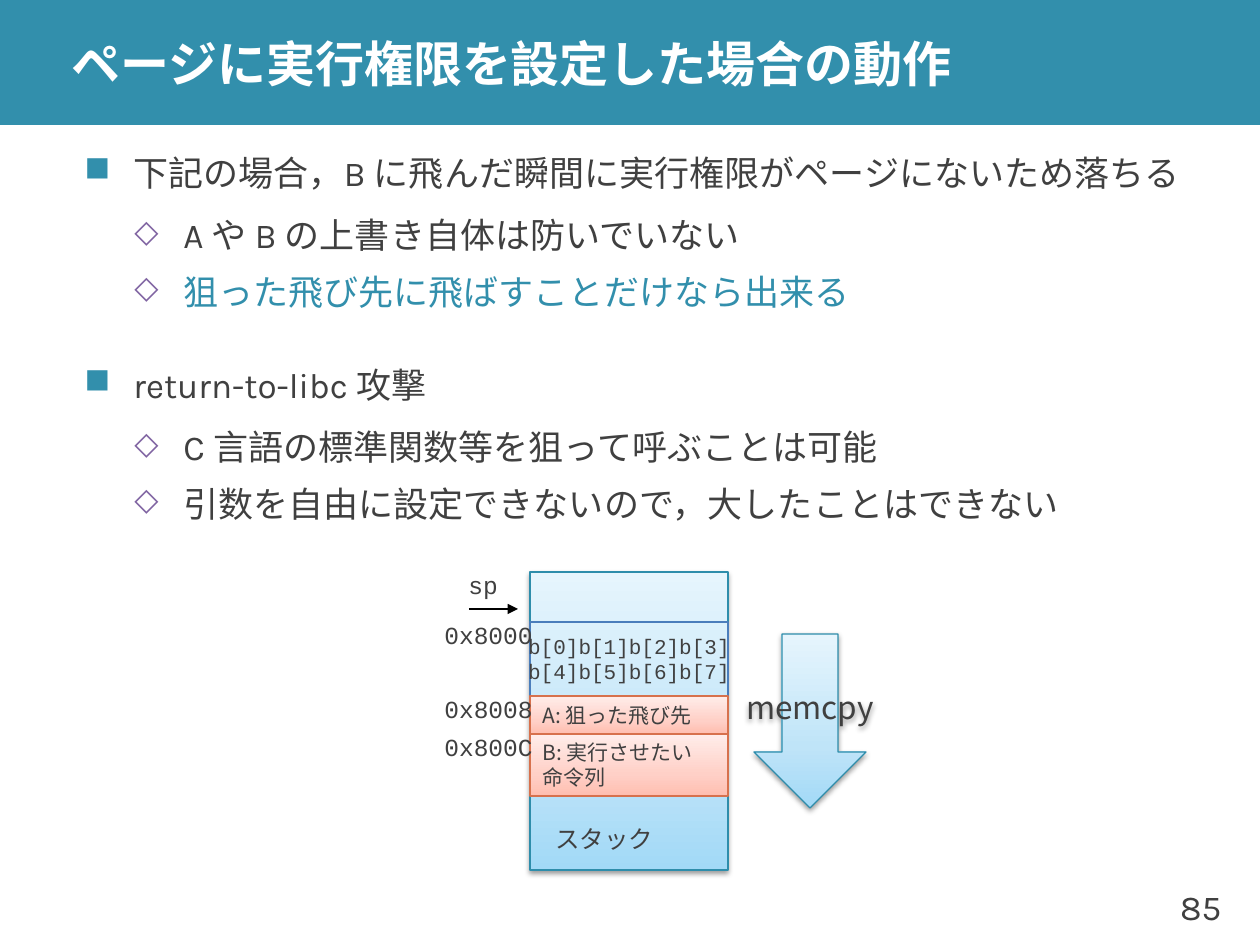
from copy import deepcopy

from lxml import etree
from pptx import Presentation
from pptx import util as u
from pptx.dml.color import RGBColor
from pptx.enum import shapes, text
from pptx.oxml.ns import qn

SCALE = 914400 / 126
COLORS = {
    "teal": "328FAC", "ink": "404040", "white": "FFFFFF", "black": "000000",
    "purple": "8064A2", "blue_line": "2E8DAB", "red_line": "D7714D",
    "buffer_line": "4B7EBC",
}
BLUE = ("A2D9F7", "BFE4F8", "E6F5FD")
RED = ("FFBEB0", "FFD0C7", "FFEDEA")
KARLA, COURIER, NOTO = "Karla", "Courier New", "Noto Sans CJK JP"
BULLETS = [
    {"char": "■", "color": "teal", "size": 100, "left": 49, "before": 24, "after": 6},
    {"char": "◇", "color": "purple", "size": 90, "left": 99, "before": 3, "after": 3},
]
BODY = [
    (0, "下記の場合，B に飛んだ瞬間に実行権限がページにないため落ちる", "ink"),
    (1, "A や B の上書き自体は防いでいない", "ink"),
    (1, "狙った飛び先に飛ばすことだけなら出来る", "teal"),
    (0, "return-to-libc 攻撃", "ink"),
    (1, "C 言語の標準関数等を狙って呼ぶことは可能", "ink"),
    (1, "引数を自由に設定できないので，大したことはできない", "ink"),
]


def px(value):
    return u.Emu(round(value * SCALE))


def px_box(*box):
    return [px(value) for value in box]


def rgb(name):
    return RGBColor.from_string(COLORS[name])


def add_xml(parent, tag, **attributes):
    values = {key: str(value) for key, value in attributes.items()}
    return etree.SubElement(parent, qn(tag), values)


def set_frame(frame, **format_values):
    defaults = {"word_wrap": False, "auto_size": text.MSO_AUTO_SIZE.NONE,
                "vertical_anchor": text.MSO_ANCHOR.MIDDLE}
    for name, value in {**defaults, **format_values}.items():
        setattr(frame, name, value)


def write(para, words, font, size, color="ink", align=text.PP_ALIGN.LEFT, bold=False):
    para.text = words
    para.alignment = align
    for span in para.runs:
        values = {"name": font, "size": u.Pt(size), "bold": bold}
        for name, value in values.items():
            setattr(span.font, name, value)
        span.font.color.rgb = rgb(color)
        add_xml(span.font._element, "a:ea", typeface=NOTO)


def add_label(page, box, words, font, size, **options):
    label = page.shapes.add_textbox(*px_box(*box))
    set_frame(label.text_frame)
    write(label.text_frame.paragraphs[0], words, font, size, **options)


def add_block(page, kind, box, line=None, stops=None, shadow=False):
    block = page.shapes.add_shape(kind, *px_box(*box))
    block.shadow.inherit = False
    if line:
        block.line.color.rgb = rgb(line)
        block.line.width = u.Pt(0.75)
    else:
        block.line.fill.background()
    if stops:
        fill_gradient(block.fill, stops, block._element.spPr)
    else:
        block.fill.background()
    if shadow:
        effects = block._element.spPr.find(qn("a:effectLst"))
        outer = add_xml(effects, "a:outerShdw", blurRad=u.Pt(3.1), dist=u.Pt(1.6),
                        dir=5400000, rotWithShape=0)
        tint = add_xml(outer, "a:srgbClr", val=COLORS["black"])
        add_xml(tint, "a:alpha", val=38000)
    set_frame(block.text_frame)
    return block


def fill_gradient(fill, stops, properties):
    fill.gradient()
    fill.gradient_angle = 90
    stop_list = properties.find(".//" + qn("a:gsLst"))
    stop_list.append(deepcopy(stop_list[-1]))
    for stop, color, position in zip(fill.gradient_stops, stops, (0, 0.35, 1)):
        stop.color.rgb = RGBColor.from_string(color)
        stop.position = position


def add_header(page, width, height):
    bar = add_block(page, shapes.MSO_SHAPE.RECTANGLE, (0, 0, width, height))
    bar.fill.solid()
    bar.fill.fore_color.rgb = rgb("teal")
    page.shapes._spTree.insert(2, bar._element)
    title = page.shapes.title
    title.left, title.top, title.width, title.height = px_box(59, 0, width - 59, height)
    set_frame(title.text_frame, word_wrap=True, margin_top=0, margin_bottom=0)
    write(title.text_frame.paragraphs[0], "ページに実行権限を設定した場合の動作",
          KARLA, 28, color="white", bold=True)


def add_body(page, box):
    frame = page.shapes.add_textbox(*px_box(*box)).text_frame
    set_frame(frame, word_wrap=True)
    for index, (level, words, color) in enumerate(BODY):
        para = frame.add_paragraph() if index else frame.paragraphs[0]
        bullet = BULLETS[level]
        properties = para._p.get_or_add_pPr()
        properties.set("marL", str(px(bullet["left"])))
        properties.set("indent", str(px(-49)))
        add_xml(add_xml(properties, "a:buClr"), "a:srgbClr", val=COLORS[bullet["color"]])
        add_xml(properties, "a:buSzPct", val=bullet["size"] * 1000)
        add_xml(properties, "a:buChar", char=bullet["char"])
        values = {"level": level, "line_spacing": 1.1,
                  "space_before": u.Pt(bullet["before"] if index else 0),
                  "space_after": u.Pt(bullet["after"])}
        for name, value in values.items():
            setattr(para, name, value)
        write(para, words, KARLA, 20, color=color)


def add_stack(page, left, top, width, height):
    """Draw the stack memory, its addresses and the stack pointer."""
    rectangle = shapes.MSO_SHAPE.RECTANGLE
    add_block(page, rectangle, (left, top, width, height), "blue_line", BLUE, True)
    cells = [
        (50, 74, ["b[0]b[1]b[2]b[3]\vb[4]b[5]b[6]b[7]"], COURIER,
         text.PP_ALIGN.CENTER, "buffer_line", None, "0x8000"),
        (124, 38, ["A: 狙った飛び先"], NOTO,
         text.PP_ALIGN.LEFT, "red_line", RED, "0x8008"),
        (162, 62, ["B: 実行させたい", "命令列"], NOTO,
         text.PP_ALIGN.LEFT, "red_line", RED, "0x800C"),
    ]
    for offset, depth, lines, font, align, line, stops, address in cells:
        cell = add_block(page, rectangle, (left, top + offset, width, depth), line, stops)
        frame = cell.text_frame
        for index, words in enumerate(lines):
            para = frame.add_paragraph() if index else frame.paragraphs[0]
            write(para, words, font, 12, align=align)
        add_label(page, (left - 98, top + offset, 87, 25), address, COURIER, 14)
    add_label(page, (left + 13, top + 248, 149, 38), "スタック", COURIER, 14)

    add_label(page, (left - 74, top, 52, 25), "sp", COURIER, 14)
    pointer = page.shapes.add_connector(
        shapes.MSO_CONNECTOR.STRAIGHT,
        *px_box(left - 61, top + 37, left - 12, top + 37))
    pointer.line.color.rgb = rgb("black")
    pointer.line.width = u.Pt(0.75)
    add_xml(pointer.line._get_or_add_ln(), "a:tailEnd", type="triangle")
    add_xml(pointer._element.spPr, "a:effectLst")


def add_copy_arrow(page, box):
    arrow = add_block(page, shapes.MSO_SHAPE.DOWN_ARROW, box, "blue_line", BLUE, True)
    write(arrow.text_frame.paragraphs[0], "memcpy", NOTO, 18, align=text.PP_ALIGN.CENTER)


def main():
    deck = Presentation()
    deck.slide_width, deck.slide_height = px_box(1260, 945)
    page = deck.slides.add_slide(deck.slide_layouts[5])
    add_header(page, 1260, 125)
    add_body(page, (72, 150, 1142, 372))
    add_stack(page, 530, 572, 198, 298)
    add_copy_arrow(page, (754, 634, 112, 174))
    add_label(page, (1150, 869, 84, 76), "85", KARLA, 20, align=text.PP_ALIGN.RIGHT)
    deck.save("out.pptx")


if __name__ == "__main__":
    main()
